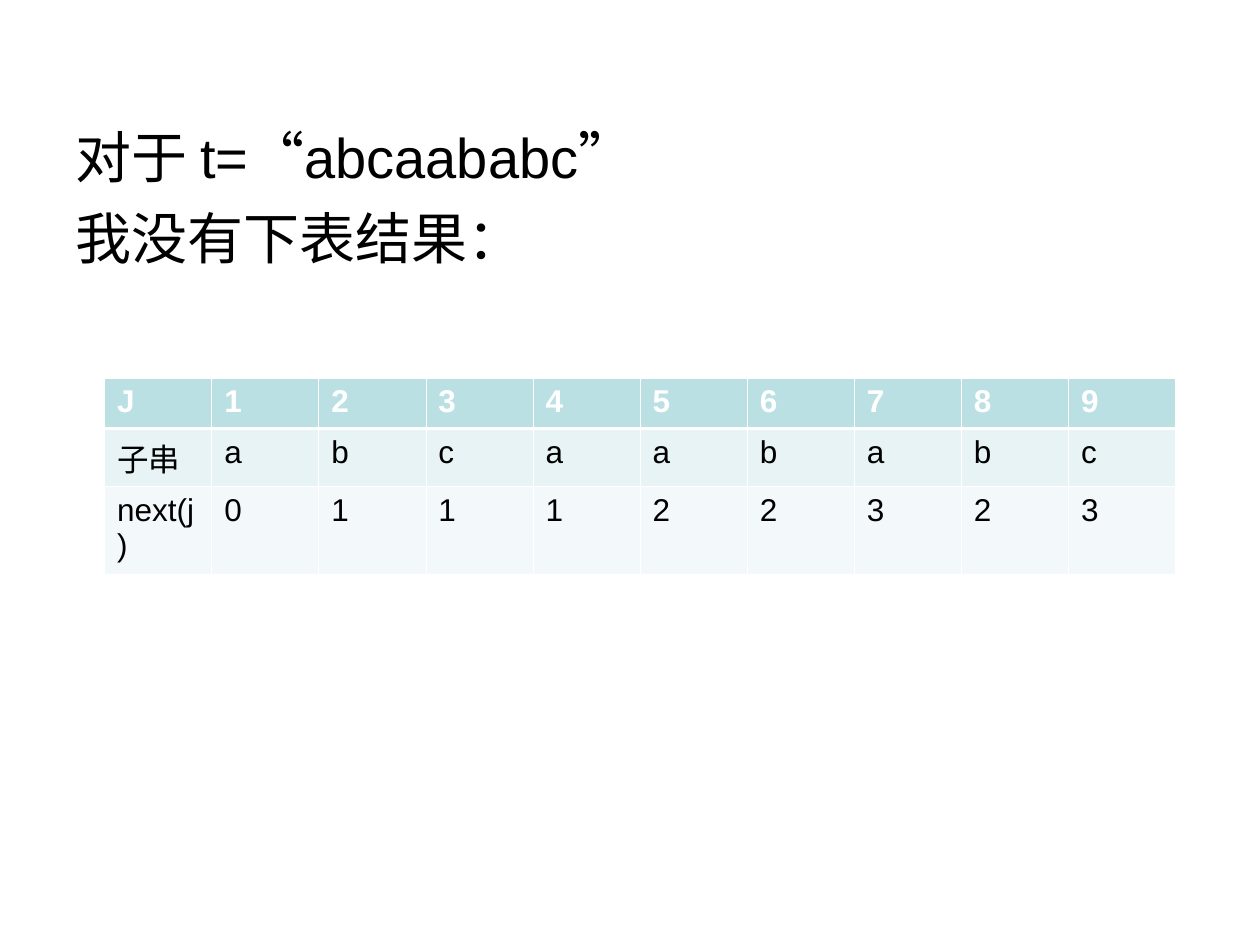
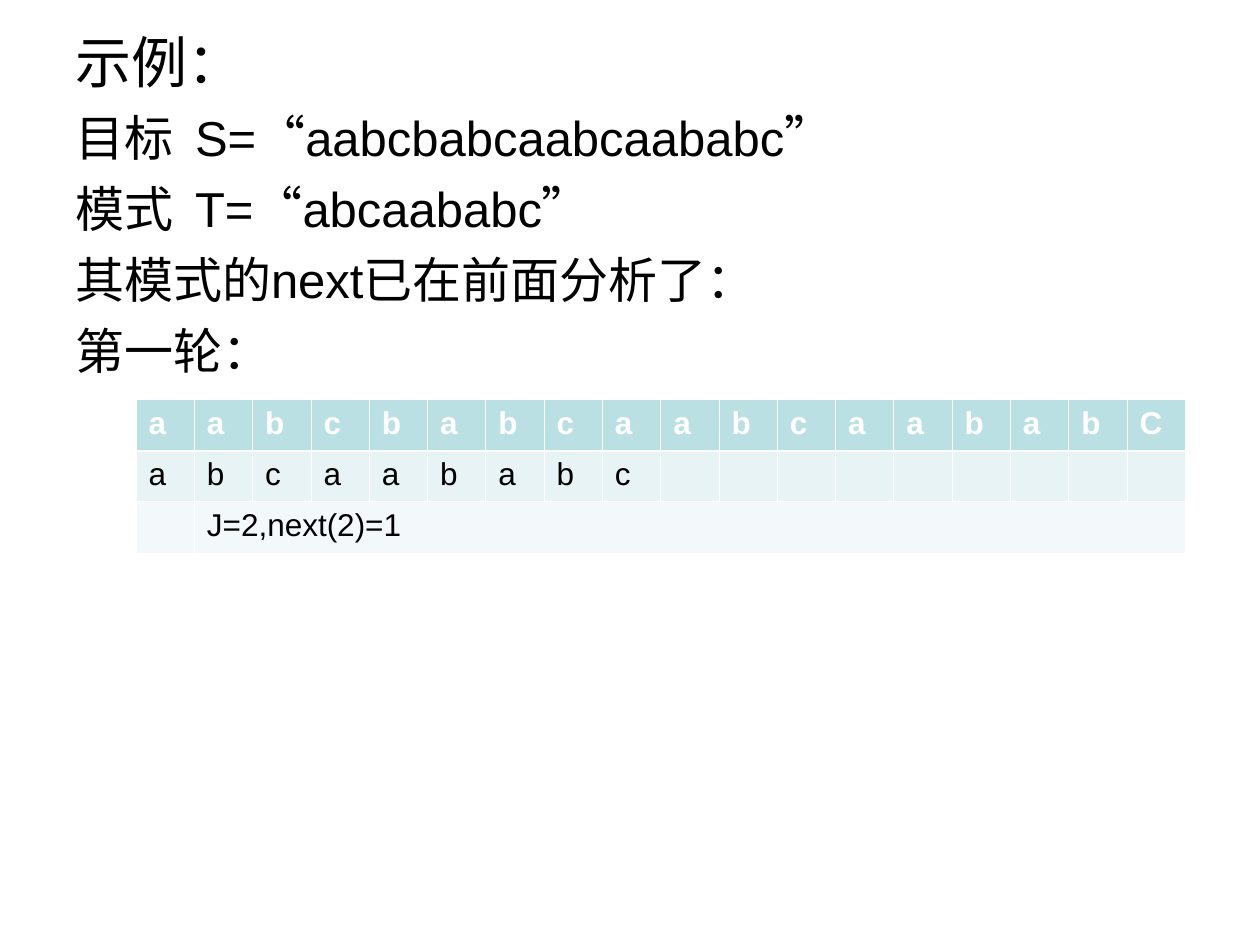
from lxml import etree
from pptx import Presentation
from pptx.dml.color import RGBColor
from pptx.enum.lang import MSO_LANGUAGE_ID as Lang
from pptx.oxml.ns import qn
from pptx.util import Inches, Pt

FONT = "Arial"
BLACK = RGBColor(0x00, 0x00, 0x00)
WHITE = RGBColor(0xFF, 0xFF, 0xFF)
FILLS = [RGBColor(0xBB, 0xE0, 0xE3), RGBColor(0xE7, 0xF3, 0xF4), RGBColor(0xF3, 0xF9, 0xFA)]
THIN, THICK = 0.45, 1.47

SLIDES = [
    {
        "box": (0.5, 0.92, 9, 5.78),
        "hang": 0,
        "lines": [("对于 t=“abcaababc”", 32), ("我没有下表结果：", 32)],
        "grid": (0.83, 3, 8.5),
        "tall": [0.38, 0.46, 0.66],
        "rows": [["J", *"123456789"], ["子串", *"abcaababc"], ["next(j)", *"011122323"]],
        "merge": None,
    },
    {
        "box": (0.5, 0.17, 9, 7),
        "hang": 0.38,
        "lines": [
            ("示例：", 32),
            ("目标  S=“aabcbabcaabcaababc”", 28),
            ("模式  T=“abcaababc”", 28),
            ("其模式的next已在前面分析了：", 28),
            ("第一轮：", 28),
        ],
        "grid": (1.08, 3.17, 8.33),
        "tall": [0.41, 0.4, 0.41],
        "rows": [list("aabcbabcaabcaababC"), list("abcaababc"), ["", "J=2,next(2)=1"]],
        "merge": ((2, 1), (2, 17)),
    },
]


def style(para, size, color, bold=False):
    for run in para.runs:
        font = run.font
        font.name, font.size, font.bold = FONT, Pt(size), bold
        font.color.rgb = color
        font.language_id = Lang.SIMPLIFIED_CHINESE


def add_text(slide, data):
    frame = slide.shapes.add_textbox(*map(Inches, data["box"])).text_frame
    frame.word_wrap = True
    frame.text = "\n".join(text for text, _ in data["lines"])
    for i, (para, (_, size)) in enumerate(zip(frame.paragraphs, data["lines"])):
        if i:
            para.space_before = Pt(size // 4)
        if data["hang"]:
            props = para._p.get_or_add_pPr()
            props.set("marL", str(Inches(data["hang"])))
            props.set("indent", str(-Inches(data["hang"])))
        style(para, size, BLACK)


def add_edges(cell, row):
    props = cell._tc.get_or_add_tcPr()
    top = THICK if row == 1 else THIN
    low = THICK if row == 0 else THIN
    for side, width in zip("LRTB", (THIN, THIN, top, low)):
        line = etree.SubElement(props, qn(f"a:ln{side}"), w=str(Pt(width)))
        fill = etree.SubElement(line, qn("a:solidFill"))
        etree.SubElement(fill, qn("a:srgbClr"), val=str(WHITE))


def add_grid(slide, data):
    rows, tall = data["rows"], data["tall"]
    count = len(rows[0])
    left, top, width = data["grid"]
    place = map(Inches, (left, top, width, sum(tall)))
    table = slide.shapes.add_table(len(rows), count, *place).table
    for col in table.columns:
        col.width = Inches(width / count)
    for r, texts in enumerate(rows):
        table.rows[r].height = Inches(tall[r])
        for c in range(count):
            cell = table.cell(r, c)
            add_edges(cell, r)
            cell.fill.solid()
            cell.fill.fore_color.rgb = FILLS[r]
            if c < len(texts):
                cell.text = texts[c]
                style(cell.text_frame.paragraphs[0], 18, BLACK if r else WHITE, r == 0)
    if data["merge"]:
        start, end = data["merge"]
        table.cell(*start).merge(table.cell(*end))


def main():
    deck = Presentation()
    deck.slide_width, deck.slide_height = Inches(10), Inches(7.5)
    for data in SLIDES:
        slide = deck.slides.add_slide(deck.slide_layouts[6])
        add_text(slide, data)
        add_grid(slide, data)
    deck.save("out.pptx")


if __name__ == "__main__":
    main()
